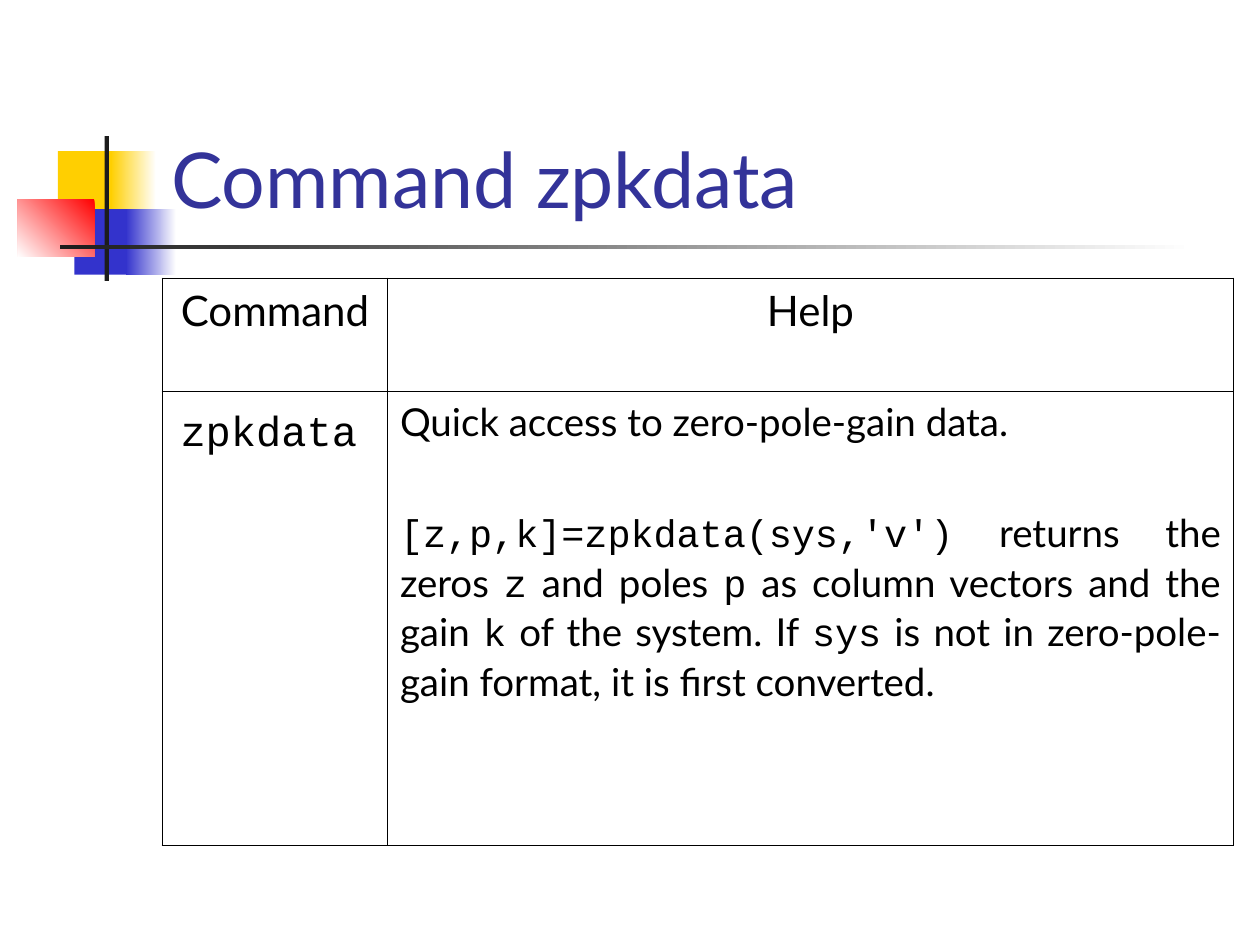
from lxml.etree import SubElement
from pptx import Presentation
from pptx.dml.color import RGBColor
from pptx.enum.shapes import MSO_SHAPE
from pptx.enum.text import MSO_ANCHOR, PP_ALIGN
from pptx.oxml.ns import qn
from pptx.util import Inches, Pt

# The slide is a grid of 100 columns by 75 rows
COLS, ROWS = 100, 75
WIDTH, HEIGHT = Inches(10), Inches(7.5)
SANS, MONO = "Lato", "Courier New"
YELLOW, BLUE, RED, DARK, WHITE = "FFCF01", "3333CC", "FF0000", "1C1C1C", "FFFFFF"
BLACK, TITLE = "000000", "333399"
OUTER, INNER = 1.08, 0.45


def rgb(value):
    return RGBColor.from_string(value)


def across(cols):
    return round(WIDTH * cols / COLS)


def down(rows):
    return round(HEIGHT * rows / ROWS)


def frame(x, y, w, h):
    return across(x), down(y), across(w), down(h)


def add_text(p, text, size=24, font=SANS, color=BLACK):
    r = p.add_run()
    r.text = text
    r.font.size, r.font.name = Pt(size), font
    r.font.color.rgb = rgb(color)


def add_block(s, box, colors, angle=180):
    """Add a borderless rectangle with one flat colour or a two-colour gradient."""
    sp = s.shapes.add_shape(MSO_SHAPE.RECTANGLE, *frame(*box))
    sp.shadow.inherit = False
    sp.line.fill.background()
    if len(colors) == 1:
        sp.fill.solid()
        sp.fill.fore_color.rgb = rgb(colors[0])
        return
    sp.fill.gradient()
    sp.fill.gradient_angle = angle
    for stop, color in zip(sp.fill.gradient_stops, colors):
        stop.color.rgb = rgb(color)


def add_emblem(s, box):
    x, y, w, h = box
    # Squares that fade out to the right
    for dx, dy, solid, fade_dx, fade, color in (
        (3.2, 1.2, 4.8, 7.4, 3.6, YELLOW),
        (4.5, 5.8, 4.6, 8.6, 4, BLUE),
    ):
        add_block(s, (x + dx, y + dy, solid, 5.2), [color])
        add_block(s, (x + fade_dx, y + dy, fade, 5.2), [WHITE, color])
    # Red square, fading to the lower left
    add_block(s, (x, y + 5, 6.1, 4.6), [RED, WHITE], angle=225)
    # Upright bar and title rule
    add_block(s, (x + 6.9, y, 0.35, h), [DARK])
    add_block(s, (x + 3.4, y + 8.65, w - 3.4, 0.35), [WHITE, DARK])


def add_title(s, box, text):
    tf = s.shapes.add_textbox(*frame(*box)).text_frame
    tf.word_wrap = True
    tf.vertical_anchor = MSO_ANCHOR.BOTTOM
    add_text(tf.paragraphs[0], text, size=44, color=TITLE)


def set_borders(cell, left, right, top, bottom):
    tcPr = cell._tc.get_or_add_tcPr()
    for side, width in zip("LRTB", (left, right, top, bottom)):
        ln = SubElement(tcPr, qn(f"a:ln{side}"), w=str(Pt(width)))
        fill = SubElement(ln, qn("a:solidFill"))
        SubElement(fill, qn("a:srgbClr"), val=BLACK)


def fill_paragraph(p, runs, align, before, size):
    p.alignment, p.space_before = align, Pt(before)
    for text, fmt in runs:
        add_text(p, text, **{"size": size, **fmt})


def add_command_table(s, box, col_shares, row_shares, cells):
    x, y, w, h = box
    n_rows, n_cols = len(row_shares), len(col_shares)
    table = s.shapes.add_table(n_rows, n_cols, *frame(*box)).table
    table.first_row = table.horz_banding = False
    for column, share in zip(table.columns, col_shares):
        column.width = across(w * share)
    for row, share in zip(table.rows, row_shares):
        row.height = down(h * share)
    for i, row in enumerate(cells):
        for j, paragraphs in enumerate(row):
            cell = table.cell(i, j)
            set_borders(
                cell,
                left=INNER if j else OUTER,
                right=OUTER if j == n_cols - 1 else INNER,
                top=INNER if i else OUTER,
                bottom=OUTER if i == n_rows - 1 else INNER,
            )
            cell.fill.background()
            tf = cell.text_frame
            for k, paragraph in enumerate(paragraphs):
                p = tf.add_paragraph() if k else tf.paragraphs[0]
                fill_paragraph(p, *paragraph)


def main():
    prs = Presentation()
    prs.slide_width, prs.slide_height = WIDTH, HEIGHT
    s = prs.slides.add_slide(prs.slide_layouts[6])

    add_emblem(s, (1.4, 10.8, 93.4, 11.5))
    add_title(s, (12.6, 2.3, 85.2, 16), "Command zpkdata")

    center, justify = PP_ALIGN.CENTER, PP_ALIGN.JUSTIFY
    plain, code = {}, {"font": MONO}
    header = [[([(text, plain)], center, 6, 24)] for text in ("Command", "Help")]
    name = [([("zpkdata", code), (" ", {"size": 28})], center, 7, 24)]
    # Code and prose alternate, starting with code
    usage = [
        "[z,p,k]=zpkdata(sys,'v')", " returns the zeros ",
        "z", " and poles ",
        "p", " as column vectors and the gain ",
        "k", " of the system. If ",
        "sys", " is not in zero-pole-gain format, it is first converted.",
    ]
    usage_runs = [(text, plain if i % 2 else code) for i, text in enumerate(usage)]
    help_text = [
        ([("Quick access to zero-pole-gain data.", plain)], justify, 5.5, 22),
        (usage_runs, justify, 37.4, 22),
    ]
    add_command_table(s, (12.9, 22.1, 85, 45), (0.21, 0.79), (0.2, 0.8),
                      [header, [name, help_text]])
    prs.save("out.pptx")


if __name__ == "__main__":
    main()
